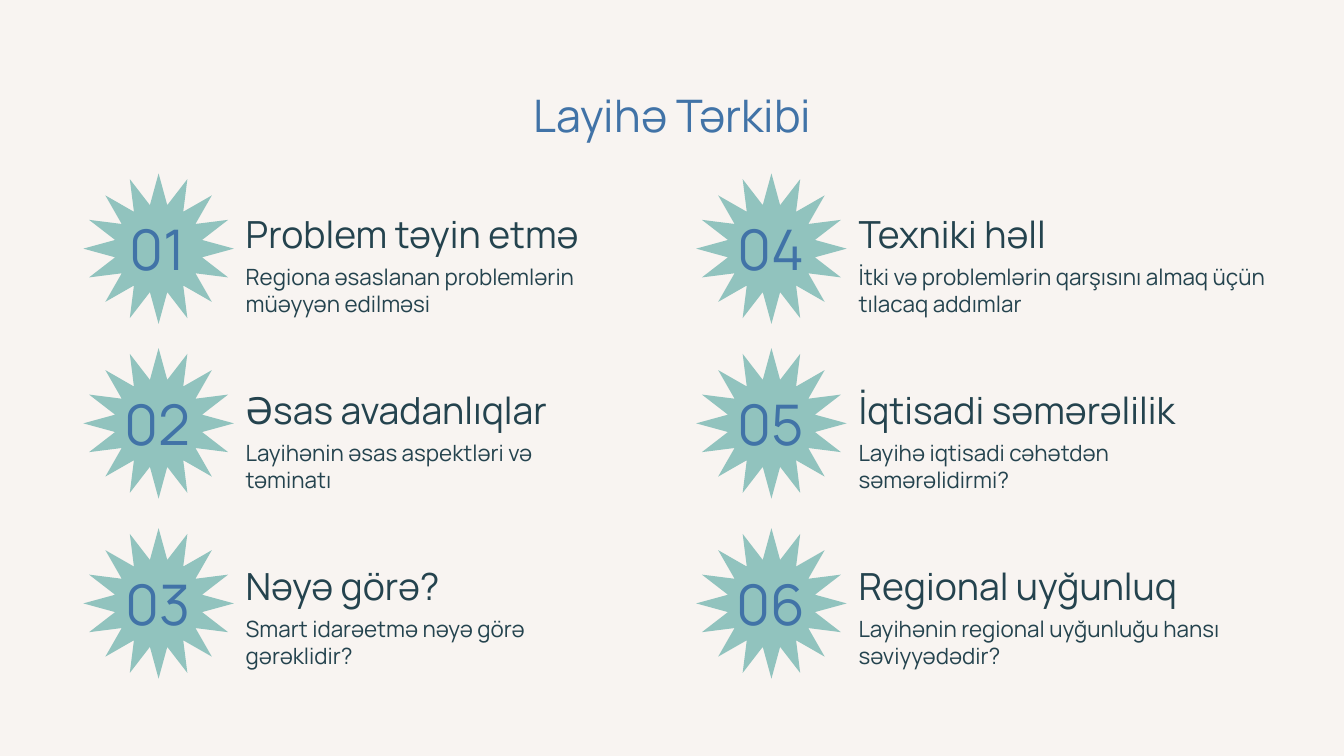
from dataclasses import dataclass
from math import cos, pi, sin

from pptx import Presentation
from pptx.dml.color import RGBColor
from pptx.enum.text import MSO_ANCHOR, PP_ALIGN
from pptx.util import Inches, Pt

LEFT, CENTER = PP_ALIGN.LEFT, PP_ALIGN.CENTER
MIDDLE = MSO_ANCHOR.MIDDLE


@dataclass(frozen=True)
class Theme:
    """Colours, font and type sizes of the deck."""
    paper: RGBColor = RGBColor.from_string("F8F4F1")
    burst: RGBColor = RGBColor.from_string("91C3BE")
    accent: RGBColor = RGBColor.from_string("4173A7")
    ink: RGBColor = RGBColor.from_string("24434E")
    font: str = "Manrope"
    title: int = 24
    number: int = 30
    heading: int = 20
    body: int = 12


THEME = Theme()
BURST_SIZE = 1.12
SPIKES = 16
INNER_RADIUS = 0.33
COLUMN_LEFTS = (0.62, 5.18)
BURST_TOPS = (1.29, 2.59, 3.93)
TEXT_TOP, TEXT_STEP = 1.51, 1.31
TOPICS = (
    ("Problem təyin etmə", 3.45,
     "Regiona əsaslanan problemlərin müəyyən edilməsi", 2.87),
    ("Əsas avadanlıqlar", 3, "Layihənin əsas aspektləri və təminatı", 2.5),
    ("Nəyə görə?", 3, "Smart idarəetmə nəyə görə gərəklidir?", 2.5),
    ("Texniki həll", 3,
     "İtki və problemlərin qarşısını almaq üçün tılacaq addımlar", 3.29),
    ("İqtisadi səmərəlilik", 3, "Layihə iqtisadi cəhətdən səmərəlidirmi?", 2.5),
    ("Regional uyğunluq", 3,
     "Layihənin regional uyğunluğu hansı səviyyədədir?", 3.44),
)


def add_text(page, box, text, size, color, align=LEFT):
    """Place one vertically centred paragraph in a box given in inches."""
    frame = page.shapes.add_textbox(*map(Inches, box)).text_frame
    frame.word_wrap = True
    frame.vertical_anchor = MIDDLE
    frame.margin_left = frame.margin_right = Inches(0.1)
    frame.margin_top = frame.margin_bottom = Inches(0.1)
    para = frame.paragraphs[0]
    para.alignment = align
    span = para.add_run()
    span.text = text
    span.font.name = THEME.font
    span.font.size = Pt(size)
    span.font.color.rgb = color


def add_burst(page, left, top):
    """Draw a spiked star that fills a square box."""
    outer = BURST_SIZE / 2
    points = []
    for index in range(2 * SPIKES):
        radius = INNER_RADIUS if index % 2 else outer
        angle = index * pi / SPIKES
        points.append((Inches(left + outer + radius * sin(angle)),
                       Inches(top + outer - radius * cos(angle))))
    builder = page.shapes.build_freeform(*points[0])
    builder.add_line_segments(points[1:], close=True)
    burst = builder.convert_to_shape()
    burst.shadow.inherit = False
    burst.fill.solid()
    burst.fill.fore_color.rgb = THEME.burst
    burst.line.fill.background()


def add_topic(page, left, burst_top, text_top, number, topic):
    """Place a numbered burst with its heading and description."""
    heading, heading_width, body, body_width = topic
    text_left = left + 1.11
    add_burst(page, left, burst_top)
    add_text(page, (text_left, text_top, heading_width, 0.45), heading,
             THEME.heading, THEME.ink)
    add_text(page, (left + 0.17, burst_top + 0.23, 0.77, 0.65), f"{number:02d}",
             THEME.number, THEME.accent, CENTER)
    add_text(page, (text_left, text_top + 0.45, body_width, 0.4), body,
             THEME.body, THEME.ink)


def add_contents(page):
    """Build the contents slide: a title above two columns of topics."""
    page.background.fill.solid()
    page.background.fill.fore_color.rgb = THEME.paper
    rows = len(BURST_TOPS)
    for index, topic in enumerate(TOPICS):
        column, row = divmod(index, rows)
        add_topic(page, COLUMN_LEFTS[column], BURST_TOPS[row],
                  TEXT_TOP + row * TEXT_STEP, index + 1, topic)
    add_text(page, (0.79, 0.59, 8.43, 0.53), "Layihə Tərkibi",
             THEME.title, THEME.accent, CENTER)


def main():
    """Create the deck and save it."""
    deck = Presentation()
    deck.slide_width = Inches(10)
    deck.slide_height = deck.slide_width * 9 // 16
    add_contents(deck.slides.add_slide(deck.slide_layouts[6]))
    deck.save("out.pptx")


if __name__ == "__main__":
    main()
